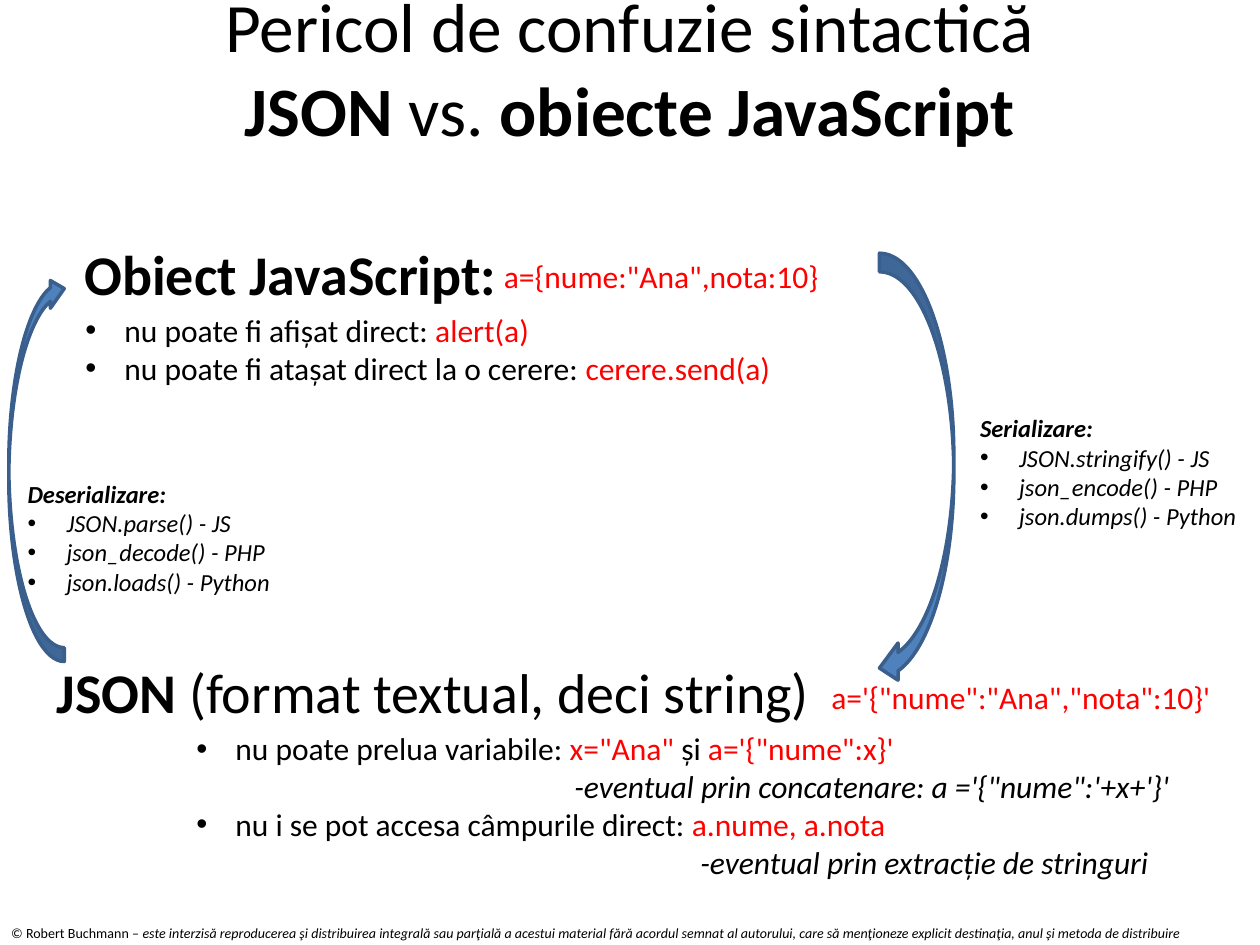
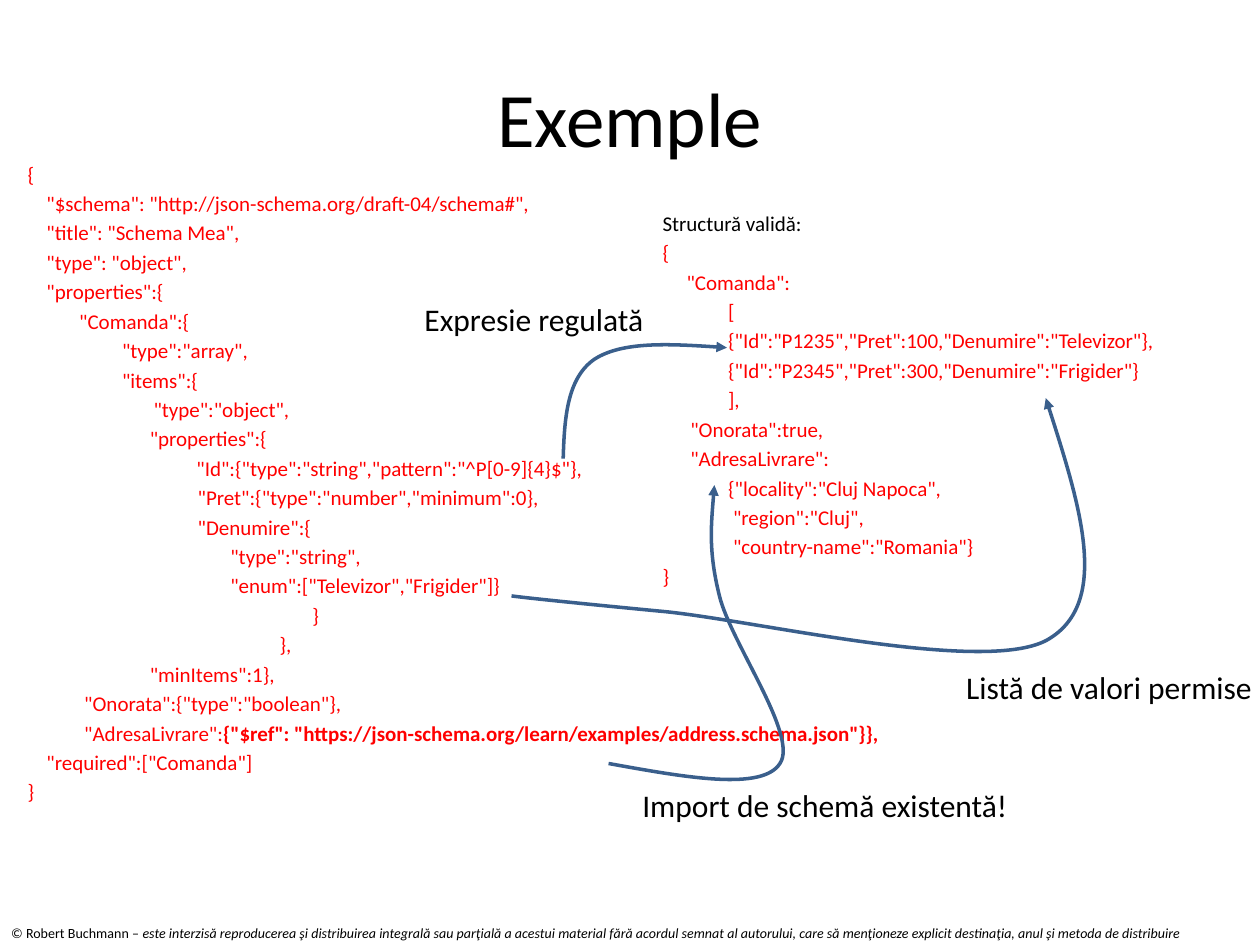
from dataclasses import dataclass

from lxml import etree
from pptx import Presentation
from pptx.dml.color import RGBColor
from pptx.enum.shapes import MSO_SHAPE
from pptx.enum.text import MSO_ANCHOR, MSO_AUTO_SIZE, PP_ALIGN
from pptx.oxml.ns import qn
from pptx.util import Inches, Pt

CURVED_ARROW = MSO_SHAPE.CURVED_LEFT_ARROW
MIDDLE = MSO_ANCHOR.MIDDLE
CENTER = PP_ALIGN.CENTER
NO_AUTO_SIZE = MSO_AUTO_SIZE.NONE
TITLE_ONLY = 5


@dataclass(frozen=True)
class Theme:
    font: str = "Calibri"
    text: RGBColor = RGBColor(0, 0, 0)
    code: RGBColor = RGBColor(0xFF, 0, 0)
    arrow_fill: RGBColor = RGBColor(0x4F, 0x81, 0xBD)
    arrow_line: RGBColor = RGBColor(0x3A, 0x5F, 0x8C)
    line_width: float = 2
    title: float = 44
    long_title: float = 39.6
    heading: float = 32
    body: float = 18
    note: float = 14
    listing: float = 12
    footer: float = 8
    listing_gap: float = 2.4
    bullet_indent: float = 0.31


THEME = Theme()


@dataclass
class Line:
    """One paragraph: a string or Run items, with its indent or bullet."""
    runs: list
    indent: float = 0
    bullet: bool = False
    bold: bool = False
    italic: bool = False


@dataclass
class Run:
    text: str
    color: RGBColor = None
    bold: bool = None
    italic: bool = None


def code(text):
    return Run(text, THEME.code)


# ---- Shared text helpers ----
def to_inches(values):
    return [Inches(value) for value in values]


def set_indent(paragraph, indent, bullet):
    properties = paragraph._p.get_or_add_pPr()
    if bullet:
        properties.set("marL", str(Inches(THEME.bullet_indent)))
        properties.set("indent", str(-Inches(THEME.bullet_indent)))
        etree.SubElement(properties, qn("a:buFont")).set("typeface", "Arial")
        etree.SubElement(properties, qn("a:buChar")).set("char", "•")
    elif indent:
        properties.set("marL", str(Inches(indent)))
        properties.set("indent", "0")


def set_font(paragraph, size, color, bold=False, italic=False):
    font = paragraph.font
    font.name, font.size = THEME.font, Pt(size)
    font.bold, font.italic = bold, italic
    font.color.rgb = color


def add_runs(paragraph, runs):
    for item in runs:
        run = paragraph.add_run()
        if isinstance(item, str):
            run.text = item
            continue
        run.text = item.text
        if item.color is not None:
            run.font.color.rgb = item.color
        if item.bold is not None:
            run.font.bold = item.bold
        if item.italic is not None:
            run.font.italic = item.italic


def add_text(slide, box, lines, size, color=THEME.text, gap=0, wrap=True):
    shape = slide.shapes.add_textbox(*to_inches(box))
    frame = shape.text_frame
    frame.word_wrap = wrap
    frame.auto_size = NO_AUTO_SIZE
    for number, line in enumerate(lines):
        paragraph = frame.add_paragraph() if number else frame.paragraphs[0]
        set_indent(paragraph, line.indent, line.bullet)
        set_font(paragraph, size, color, line.bold, line.italic)
        if number and gap:
            paragraph.space_before = Pt(gap)
        add_runs(paragraph, line.runs)
    return shape


def add_title(slide, box, rows, size):
    title = slide.shapes.title
    title.left, title.top, title.width, title.height = to_inches(box)
    frame = title.text_frame
    frame.vertical_anchor = MIDDLE
    frame.auto_size = NO_AUTO_SIZE
    paragraph = frame.paragraphs[0]
    paragraph.alignment = CENTER
    set_font(paragraph, size, THEME.text)
    for number, runs in enumerate(rows):
        if number:
            paragraph.add_line_break()
        add_runs(paragraph, runs)


def add_master_footer(presentation, slide):
    """Build the footer on a slide, then hand it to the master."""
    footer = add_text(slide, (-0.01, 7.29, 10.01, 0.24), [Line([
        "© Robert Buchmann – ",
        Run("este interzisă reproducerea şi distribuirea integrală sau parţială a "
            "acestui material fără acordul semnat al autorului, care să menţioneze "
            "explicit destinaţia, anul şi metoda de distribuire", italic=True),
    ])], THEME.footer)
    presentation.slide_master.shapes.element.append(footer.element)


# ---- Arrows ----
def add_curved_arrow(slide, box, rotation=0):
    arrow = slide.shapes.add_shape(CURVED_ARROW, *to_inches(box))
    arrow.rotation = rotation
    arrow.shadow.inherit = False
    arrow.fill.solid()
    arrow.fill.fore_color.rgb = THEME.arrow_fill
    arrow.line.color.rgb = THEME.arrow_line
    arrow.line.width = Pt(THEME.line_width)


def bend_segments(curve, points):
    """Turn the straight segments into cubic ones through the given points."""
    outline = next(curve.element.iter(qn("a:path")))
    outline.set("w", str(curve.width))
    outline.set("h", str(curve.height))
    for command in list(outline):
        outline.remove(command)
    commands = [("a:moveTo", points[:1])]
    commands += [("a:cubicBezTo", points[first:first + 3])
                 for first in range(1, len(points), 3)]
    for name, command_points in commands:
        command = etree.SubElement(outline, qn(name))
        for x, y in command_points:
            point = etree.SubElement(command, qn("a:pt"))
            point.set("x", str(x))
            point.set("y", str(y))


def add_curve(slide, box, points):
    """Points are relative to the box: a start, then three for each curve."""
    points = [tuple(to_inches(point)) for point in points]
    anchors = points[::3]
    builder = slide.shapes.build_freeform(*anchors[0])
    builder.add_line_segments(anchors[1:], close=False)
    curve = builder.convert_to_shape()
    curve.left, curve.top, curve.width, curve.height = to_inches(box)
    bend_segments(curve, points)
    curve.shadow.inherit = False
    curve.fill.background()
    curve.line.color.rgb = THEME.arrow_line
    curve.line.width = Pt(THEME.line_width)
    line = curve.line._get_or_add_ln()
    etree.SubElement(line, qn("a:tailEnd")).set("type", "triangle")


# ---- Slide 1: object and JSON compared ----
def add_object_section(slide, left, top):
    add_text(slide, (left, top, 8.75, 1.13),
             [Line(["Obiect JavaScript:"], bold=True)], THEME.heading)
    add_text(slide, (left + 3.33, top + 0.14, 5.01, 0.4),
             [Line(['a={nume:"Ana",nota:10}'])], THEME.body, THEME.code)
    add_text(slide, (left + 0.01, top + 0.57, 8.03, 0.71), [
        Line(["nu poate fi afișat direct: ", code("alert(a)")], bullet=True),
        Line(["nu poate fi atașat direct la o cerere: ", code("cerere.send(a)")],
             bullet=True),
    ], THEME.body)


def add_json_section(slide, left, top):
    add_text(slide, (left, top, 8.75, 1.13),
             [Line([Run("JSON ", bold=True), "(format textual, deci string)"])],
             THEME.heading)
    add_text(slide, (left + 6.15, top + 0.16, 5.01, 0.4),
             [Line(['a=\'{"nume":"Ana","nota":10}\''])], THEME.body, THEME.code)
    add_text(slide, (left + 1.11, top + 0.57, 9.38, 1.31), [
        Line(["nu poate prelua variabile: ", code('x="Ana" '), "și",
              code(' a=\'{"nume":x}\'')], bullet=True),
        Line(['-eventual prin concatenare: a =\'{"nume":\'+x+\'}\''],
             indent=3, italic=True),
        Line(["nu i se pot accesa câmpurile direct:", code(" a.nume, a.nota")],
             bullet=True),
        Line(["-eventual prin extracție de stringuri"], indent=4, italic=True),
    ], THEME.body)


def add_conversion_note(slide, left, top, heading, calls):
    lines = [Line([heading], bold=True, italic=True)]
    lines += [Line([call], bullet=True, italic=True) for call in calls]
    add_text(slide, (left, top, 5.01, 1.04), lines, THEME.note)


def build_comparison(slide):
    add_json_section(slide, 0.35, 5.17)
    add_object_section(slide, 0.57, 1.85)
    add_conversion_note(slide, 7.68, 3.23, "Serializare:", [
        "JSON.stringify() - JS", "json_encode() - PHP", "json.dumps() - Python"])
    add_conversion_note(slide, 0.12, 3.75, "Deserializare:", [
        "JSON.parse() - JS", "json_decode() - PHP", "json.loads() - Python"])
    add_curved_arrow(slide, (0.07, 2.18, 0.44, 3.07), rotation=180)
    add_curved_arrow(slide, (6.98, 2.01, 0.59, 3.44))
    add_title(slide, (0.5, 0.3, 9, 0.46), [
        ["Pericol de confuzie sintactică"],
        [Run("JSON", bold=True), " vs. ", Run("obiecte JavaScript", bold=True)],
    ], THEME.long_title)


# ---- Slide 2: schema and valid structure, as indent and runs ----
SCHEMA = [
    (0, "{"),
    (0.15, '"$schema": "http://json-schema.org/draft-04/schema#",'),
    (0.15, '"title": "Schema Mea",'),
    (0.15, '"type": "object",'),
    (0.15, '"properties":{'),
    (0.41, '"Comanda":{'),
    (0.75, '"type":"array",'),
    (0.75, '"items":{'),
    (1, '"type":"object",'),
    (0.97, '"properties":{'),
    (1.34, '"Id":{"type":"string","pattern":"^P[0-9]{4}$"},'),
    (1.35, '"Pret":{"type":"number","minimum":0},'),
    (1.35, '"Denumire":{'),
    (1.61, '"type":"string",'),
    (1.61, '"enum":["Televizor","Frigider"]}'),
    (2.26, "}"),
    (2, "},"),
    (0.97, '"minItems":1},'),
    (0.45, '"Onorata":{"type":"boolean"},'),
    (0.45, '"AdresaLivrare":', Run(
        '{"$ref": "https://json-schema.org/learn/examples/address.schema.json"}},',
        bold=True)),
    (0.15, '"required":["Comanda"]'),
    (0, "}"),
]
VALID_STRUCTURE = [
    (0, Run("Structură validă:", THEME.text)),
    (0, "{"),
    (0.19, '"Comanda":'),
    (0.52, "["),
    (0.52, '{"Id":"P1235","Pret":100,"Denumire":"Televizor"},'),
    (0.52, '{"Id":"P2345","Pret":300,"Denumire":"Frigider"}'),
    (0.52, "],"),
    (0.22, '"Onorata":true,'),
    (0.22, '"AdresaLivrare":'),
    (0.52, '{"locality":"Cluj Napoca",'),
    (0.56, '"region":"Cluj",'),
    (0.56, '"country-name":"Romania"}'),
    (0, "}"),
]


def add_listing(slide, box, rows):
    lines = [Line(runs, indent=indent) for indent, *runs in rows]
    add_text(slide, box, lines, THEME.listing, THEME.code, THEME.listing_gap)


def add_label(slide, box, text):
    add_text(slide, box, [Line([text])], THEME.body, wrap=False)


def build_examples(slide):
    add_title(slide, (0.5, 0.3, 9, 1.25), [["Exemple"]], THEME.title)
    add_listing(slide, (0.12, 1.23, 7.32, 4.2), SCHEMA)
    add_listing(slide, (5.16, 1.62, 5.05, 4.2), VALID_STRUCTURE)
    # Imported schema
    add_curve(slide, (4.83, 3.85, 1.38, 2.34), [
        (0, 2.21), (0.61, 2.32), (1.22, 2.43), (1.36, 2.21),
        (1.51, 1.99), (0.97, 1.25), (0.88, 0.88),
        (0.79, 0.52), (0.82, 0.26), (0.84, 0)])
    add_label(slide, (5, 6.19, 3.13, 0.4), "Import de schemă existentă!")
    # Regular expression
    add_curve(slide, (4.47, 2.74, 1.3, 0.9), [
        (0, 0.9), (0.01, 0.58), (0.03, 0.26), (0.25, 0.11),
        (0.47, -0.03), (0.88, -0.01), (1.3, 0.02)])
    add_label(slide, (3.27, 2.33, 2.02, 0.4), "Expresie regulată")
    # Allowed values
    add_curve(slide, (4.06, 3.16, 4.55, 2.02), [
        (0, 1.57), (0.23, 1.6), (1.17, 1.69), (1.17, 1.69),
        (1.88, 1.75), (3.74, 2.2), (4.25, 1.92),
        (4.76, 1.63), (4.5, 0.81), (4.24, 0)])
    add_label(slide, (7.57, 5.25, 2.5, 0.4), "Listă de valori permise")


def main():
    presentation = Presentation()
    presentation.slide_width, presentation.slide_height = Inches(10), Inches(7.5)
    layout = presentation.slide_layouts[TITLE_ONLY]
    slides = [presentation.slides.add_slide(layout) for _ in range(2)]
    add_master_footer(presentation, slides[0])
    build_comparison(slides[0])
    build_examples(slides[1])
    presentation.save("out.pptx")


if __name__ == "__main__":
    main()
